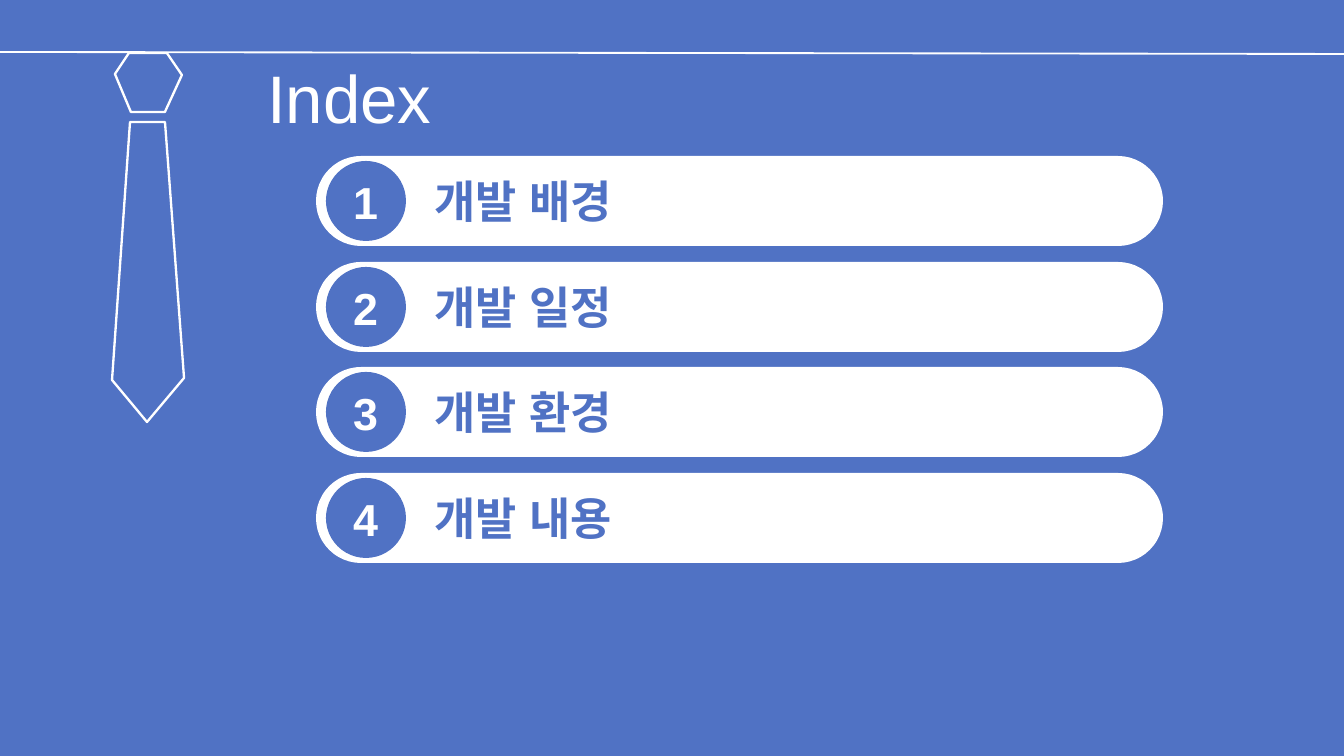
import pptx
import pptx.util
import pptx.dml.color
import pptx.enum.shapes
import pptx.enum.text
import pptx.oxml.ns
import lxml.etree

BLUE, WHITE = "5072C4", "FFFFFF"
FONT = "Arial"
TITLE = "Index"
TOPICS = ["개발 배경", "개발 일정", "개발 환경", "개발 내용"]
FIRST_TOP, LAST_TOP = 156, 473
KNOT = [(115, 74), (129, 53), (167, 53), (182, 75), (165, 112), (131, 112)]
BLADE = [(184, 378), (147, 422), (112, 380), (130, 122), (165, 122)]
SCALE = 914400 / 134.4

SHAPE = pptx.enum.shapes.MSO_SHAPE
ALIGN = pptx.enum.text.PP_ALIGN
ANCHOR = pptx.enum.text.MSO_ANCHOR


def px(value):
    return round(value * SCALE)


def color(code):
    return pptx.dml.color.RGBColor.from_string(code)


def add_text(page, text, bounds, size, code, bold=False, align=ALIGN.LEFT, anchor=ANCHOR.TOP):
    box = page.shapes.add_textbox(*map(px, bounds))
    frame = box.text_frame
    frame.word_wrap = True
    frame.vertical_anchor = anchor
    frame.text = text
    para = frame.paragraphs[0]
    para.alignment = align
    span = para.runs[0]
    span.font.size = pptx.util.Pt(size)
    span.font.bold = bold
    span.font.name = FONT
    span.font.color.rgb = color(code)
    east_asian = lxml.etree.SubElement(span.font._element, pptx.oxml.ns.qn("a:ea"))
    east_asian.set("typeface", FONT)


def add_filled(page, kind, bounds, code):
    shape = page.shapes.add_shape(kind, *map(px, bounds))
    shape.shadow.inherit = False
    shape.fill.solid()
    shape.fill.fore_color.rgb = color(code)
    shape.line.fill.background()
    return shape


def add_outline(page, points):
    builder = page.shapes.build_freeform(*points[0], scale=SCALE)
    builder.add_line_segments(points[1:], close=True)
    shape = builder.convert_to_shape()
    shape.shadow.inherit = False
    shape.fill.background()
    shape.line.color.rgb = color(WHITE)
    shape.line.width = pptx.util.Pt(1.25)


def add_rule(page, start, end):
    rule = page.shapes.add_connector(
        pptx.enum.shapes.MSO_CONNECTOR.STRAIGHT, *map(px, start + end))
    rule.line.color.rgb = color(WHITE)
    rule.line.width = pptx.util.Pt(1)
    lxml.etree.SubElement(rule._element.spPr, pptx.oxml.ns.qn("a:effectLst"))


def add_topic(page, number, topic, top):
    pill = add_filled(page, SHAPE.ROUNDED_RECTANGLE, (316, top, 847, 90), WHITE)
    pill.adjustments[0] = 0.5
    add_filled(page, SHAPE.OVAL, (326, top + 5, 80, 80), BLUE)
    add_text(page, str(number), (334, top + 12, 63, 67), 24, WHITE, True, ALIGN.CENTER)
    add_text(page, topic, (421, top + 11, 689, 67), 24, BLUE, True)


def main():
    deck = pptx.Presentation()
    deck.slide_width, deck.slide_height = px(1344), px(756)
    page = deck.slides.add_slide(deck.slide_layouts[6])
    page.background.fill.solid()
    page.background.fill.fore_color.rgb = color(BLUE)

    add_text(page, TITLE, (254, 54, 1090, 85), 36, WHITE, anchor=ANCHOR.MIDDLE)
    for outline in (KNOT, BLADE):
        add_outline(page, outline)
    add_rule(page, (0, 52), (1344, 54))

    step = (LAST_TOP - FIRST_TOP) / (len(TOPICS) - 1)
    for index, topic in enumerate(TOPICS):
        add_topic(page, index + 1, topic, round(FIRST_TOP + index * step))

    deck.save("out.pptx")


if __name__ == "__main__":
    main()
